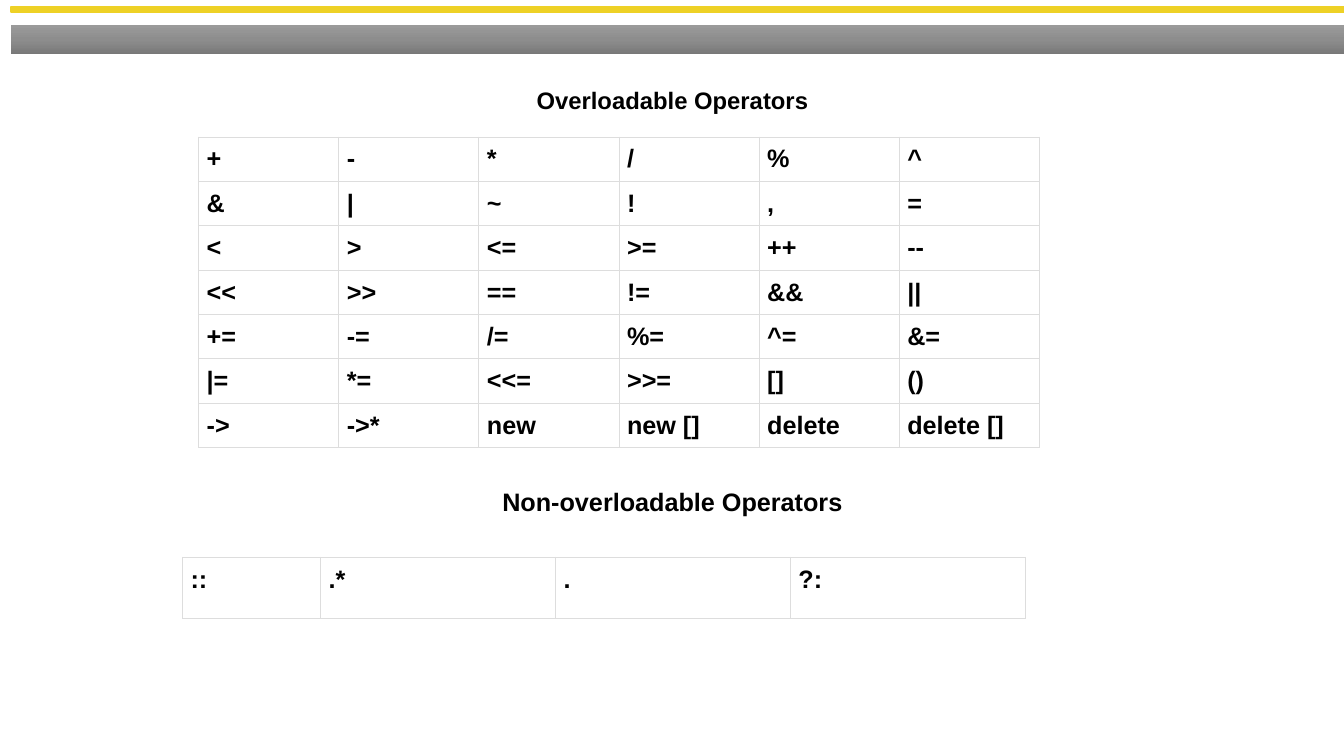
import copy

import pptx
import pptx.dml.color
import pptx.enum.shapes
import pptx.enum.text
import pptx.oxml
import pptx.oxml.ns
import pptx.util

Inches = pptx.util.Inches
Pt = pptx.util.Pt
RGBColor = pptx.dml.color.RGBColor

BLACK = RGBColor(0x00, 0x00, 0x00)
YELLOW = RGBColor(0xEE, 0xD1, 0x26)
BORDER = RGBColor(0xDD, 0xDD, 0xDD)
GRAY_TOP = RGBColor(0x9A, 0x9A, 0x9A)
GRAY_MIDDLE = RGBColor(0x8D, 0x8D, 0x8D)
GRAY_BOTTOM = RGBColor(0x78, 0x78, 0x78)

OVERLOADABLE = [
    ["+", "-", "*", "/", "%", "^"],
    ["&", "|", "~", "!", ",", "="],
    ["<", ">", "<=", ">=", "++", "--"],
    ["<<", ">>", "==", "!=", "&&", "||"],
    ["+=", "-=", "/=", "%=", "^=", "&="],
    ["|=", "*=", "<<=", ">>=", "[]", "()"],
    ["->", "->*", "new", "new []", "delete", "delete []"],
]
NON_OVERLOADABLE = [["::", ".*", ".", "?:"]]


class OperatorSlide:
    font_name = "Arial"
    body_size = 18
    cell_margin = Inches(0.08)

    def __init__(self, prs):
        self.slide = prs.slides.add_slide(prs.slide_layouts[5])

    def style(self, p, size):
        p.font.name = self.font_name
        p.font.size = Pt(size)
        p.font.bold = True
        p.font.color.rgb = BLACK

    def heading(self, sp, text, top, height, size):
        sp.left, sp.top = Inches(0.92), Inches(top)
        sp.width, sp.height = Inches(11.5), Inches(height)
        tf = sp.text_frame
        tf.word_wrap = True
        tf.auto_size = pptx.enum.text.MSO_AUTO_SIZE.NONE
        tf.vertical_anchor = pptx.enum.text.MSO_ANCHOR.TOP
        tf.margin_top = Inches(0.07)
        tf.text = text
        p = tf.paragraphs[0]
        p.alignment = pptx.enum.text.PP_ALIGN.CENTER
        self.style(p, size)

    def title(self, text):
        self.heading(self.slide.shapes.title, text, 0.78, 0.69, 17)

    def subtitle(self, text):
        sp = self.slide.shapes.add_textbox(0, 0, 0, 0)
        self.heading(sp, text, 4.75, 0.42, self.body_size)

    def bar(self, top, height):
        sp = self.slide.shapes.add_shape(
            pptx.enum.shapes.MSO_SHAPE.RECTANGLE,
            Inches(0.11), Inches(top), Inches(13.23), Inches(height))
        sp.shadow.inherit = False
        return sp

    def solid_bar(self, top, height, color):
        sp = self.bar(top, height)
        sp.fill.solid()
        sp.fill.fore_color.rgb = color
        sp.line.color.rgb = color
        sp.line.width = Pt(1)

    def gradient_bar(self, top, height, colors):
        sp = self.bar(top, height)
        sp.line.fill.background()
        sp.fill.gradient()
        sp.fill.gradient_angle = 270
        stop_list = sp.fill._fill._gradFill.gsLst
        stop_list.insert(1, copy.deepcopy(stop_list[0]))
        stops = sp.fill.gradient_stops
        for i, (stop, color) in enumerate(zip(stops, colors)):
            stop.color.rgb = color
            stop.position = i / (len(colors) - 1)

    def borders(self, cell):
        tc_pr = cell._tc.get_or_add_tcPr()
        ns = pptx.oxml.ns.nsdecls("a")
        for side in "LRTB":
            tc_pr.append(pptx.oxml.parse_xml(
                f'<a:ln{side} {ns} w="{Pt(0.75)}"><a:solidFill>'
                f'<a:srgbClr val="{BORDER}"/></a:solidFill></a:ln{side}>'))

    def table(self, rows, left, top, widths, row_height):
        frame = self.slide.shapes.add_table(
            len(rows), len(widths), Inches(left), Inches(top),
            Inches(sum(widths)), Inches(row_height * len(rows)))
        table = frame.table
        table.first_row = table.horz_banding = False
        for column, width in zip(table.columns, widths):
            column.width = Inches(width)
        for row, texts in zip(table.rows, rows):
            row.height = Inches(row_height)
            for cell, text in zip(row.cells, texts):
                cell.text = text
                cell.margin_left = cell.margin_right = self.cell_margin
                cell.margin_top = cell.margin_bottom = self.cell_margin
                self.borders(cell)
                cell.fill.background()
                self.style(cell.text_frame.paragraphs[0], self.body_size)


def main():
    prs = pptx.Presentation()
    prs.slide_width, prs.slide_height = Inches(13.33), Inches(7.5)
    page = OperatorSlide(prs)
    page.table(OVERLOADABLE, 1.97, 1.36, [1.39] * 6, 0.41)
    page.table(NON_OVERLOADABLE, 1.81, 5.53, [1.37] + [2.33] * 3, 0.61)
    page.title("Overloadable Operators")
    page.subtitle("Non-overloadable Operators")
    page.solid_bar(0.07, 0.05, YELLOW)
    page.gradient_bar(0.25, 0.29, [GRAY_TOP, GRAY_MIDDLE, GRAY_BOTTOM])
    prs.save("out.pptx")


if __name__ == "__main__":
    main()
